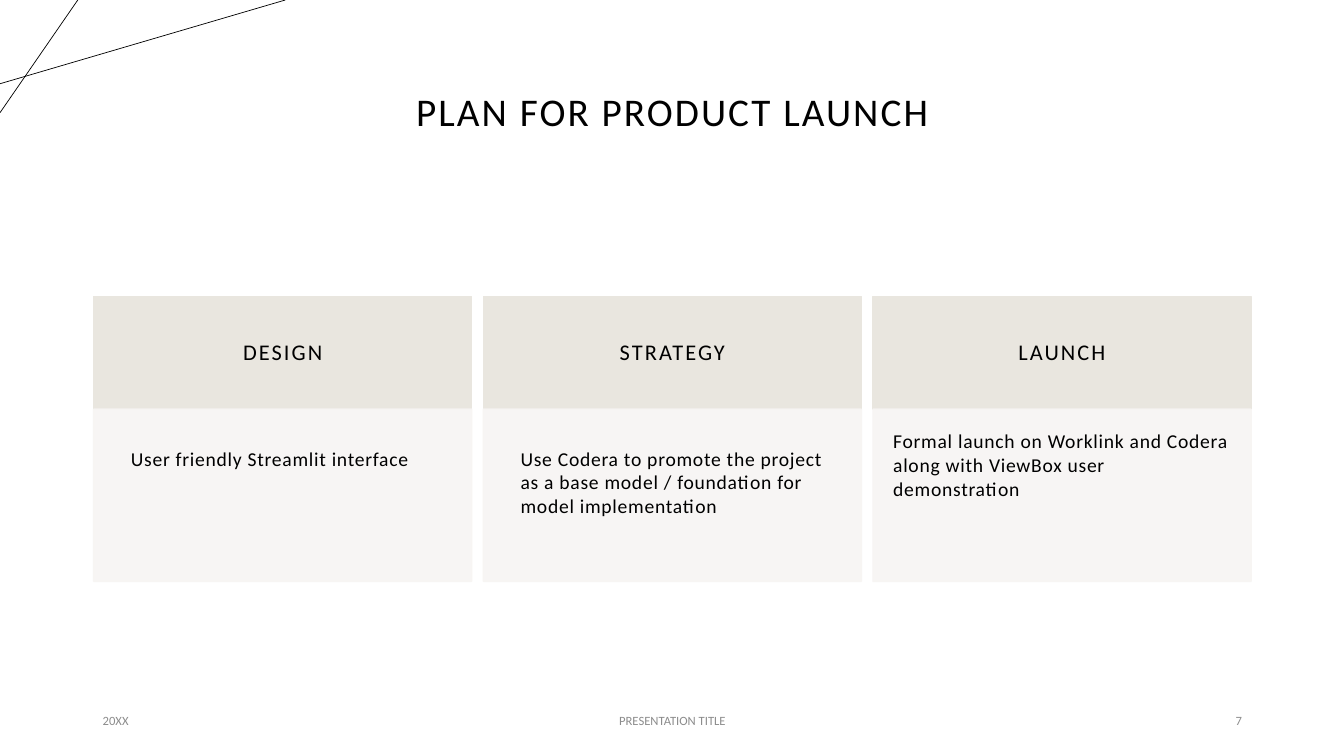
from lxml import etree
from pptx import Presentation
from pptx.dml.color import RGBColor
from pptx.enum.shapes import MSO_CONNECTOR, MSO_SHAPE
from pptx.enum.text import MSO_ANCHOR, PP_ALIGN
from pptx.oxml.ns import qn
from pptx.util import Cm, Pt

LEFT, CENTER, RIGHT = PP_ALIGN.LEFT, PP_ALIGN.CENTER, PP_ALIGN.RIGHT
TOP, MIDDLE = MSO_ANCHOR.TOP, MSO_ANCHOR.MIDDLE
RECTANGLE, STRAIGHT = MSO_SHAPE.RECTANGLE, MSO_CONNECTOR.STRAIGHT

FONT = "Calibri"
BLACK, GREY, SAND, CREAM = "000000", "8C8C8C", "E9E6DF", "F7F5F3"

TITLE = "PLAN FOR PRODUCT LAUNCH"
# Heading, description, inset of the description in cm
STAGES = [
    ("DESIGN", "User friendly Streamlit interface", 0.94),
    ("STRATEGY", "Use Codera to promote the project as a base model / "
                 "foundation for model implementation", 0.94),
    ("LAUNCH", "Formal launch on Worklink and Codera along with "
               "ViewBox user demonstration", 0.51),
]
# Text, left, width in cm, alignment
FOOTERS = [
    ("20XX", 2.34, 7.62, LEFT),
    ("PRESENTATION TITLE", 11.23, 11.43, CENTER),
    ("7", 23.93, 7.62, RIGHT),
]
# Start x, start y, end x, end y in cm
CORNER_LINES = [(0, 2.11, 7.19, 0), (1.96, 0, 0, 2.84)]

CARD_LEFT, CARD_TOP, CARD_WIDTH, CARD_STEP = 2.36, 7.47, 9.53, 9.82
HEADING_HEIGHT, BODY_HEIGHT = 2.84, 4.34


def color(hex_code):
    """Turn a hex string into a colour."""
    return RGBColor.from_string(hex_code)


def write(box, text, size, ink=BLACK, align=LEFT, anchor=MIDDLE,
          inset=None, tracking=0, line_spacing=None, space_after=0):
    """Put one formatted paragraph into a box; tracking is in points."""
    frame = box.text_frame
    frame.word_wrap = True
    frame.vertical_anchor = anchor
    if inset is not None:
        frame.margin_left = frame.margin_right = Cm(inset)
        frame.margin_top = frame.margin_bottom = Cm(inset)
    para = frame.paragraphs[0]
    para.alignment = align
    para.line_spacing = line_spacing
    para.space_after = Pt(space_after)
    span = para.add_run()
    span.text = text
    span.font.name = FONT
    span.font.size = Pt(size)
    span.font.color.rgb = color(ink)
    if tracking:
        span.font._element.set("spc", str(int(tracking * 100)))


def add_text(page, text, left, top, width, height, **style):
    """Add a text box with one formatted paragraph."""
    box = page.shapes.add_textbox(Cm(left), Cm(top), Cm(width), Cm(height))
    write(box, text, **style)


def add_panel(page, left, top, height, paint, opacity=100):
    """Add a card-wide rectangle whose fill and outline share a colour."""
    panel = page.shapes.add_shape(
        RECTANGLE, Cm(left), Cm(top), Cm(CARD_WIDTH), Cm(height))
    panel.shadow.inherit = False
    panel.fill.solid()
    panel.fill.fore_color.rgb = color(paint)
    panel.line.color.rgb = color(paint)
    panel.line.width = Pt(1)
    if opacity < 100:
        for tone in panel._element.spPr.iter(qn("a:srgbClr")):
            etree.SubElement(tone, qn("a:alpha"), val=str(opacity * 1000))
    return panel


def add_line(page, *ends):
    """Add a thin black line between two points."""
    line = page.shapes.add_connector(STRAIGHT, *[Cm(end) for end in ends])
    line.line.color.rgb = color(BLACK)
    line.line.width = Pt(0.5)
    etree.SubElement(line._element.spPr, qn("a:effectLst"))


def add_card(page, left, heading, description, inset):
    """Add a stage: its heading panel above its description panel."""
    header = add_panel(page, left, CARD_TOP, HEADING_HEIGHT, SAND)
    write(header, heading, size=16, align=CENTER, inset=0.76,
          tracking=1.5, line_spacing=0.9)
    body = add_panel(page, left, CARD_TOP + HEADING_HEIGHT, BODY_HEIGHT,
                     CREAM, opacity=90)
    write(body, description, size=14, anchor=TOP, inset=inset,
          tracking=0.5, space_after=5)


deck = Presentation()
deck.slide_width, deck.slide_height = Cm(33.87), Cm(19.05)
page = deck.slides.add_slide(deck.slide_layouts[6])

for ends in CORNER_LINES:
    add_line(page, *ends)
add_text(page, TITLE, 2.34, 1.02, 29.21, 3.68, size=28, align=CENTER,
         tracking=1.5, line_spacing=0.9)
for index, stage in enumerate(STAGES):
    add_card(page, CARD_LEFT + index * CARD_STEP, *stage)
for text, left, width, align in FOOTERS:
    add_text(page, text, left, 17.65, width, 1.02, size=9, ink=GREY,
             align=align)

deck.save("out.pptx")
